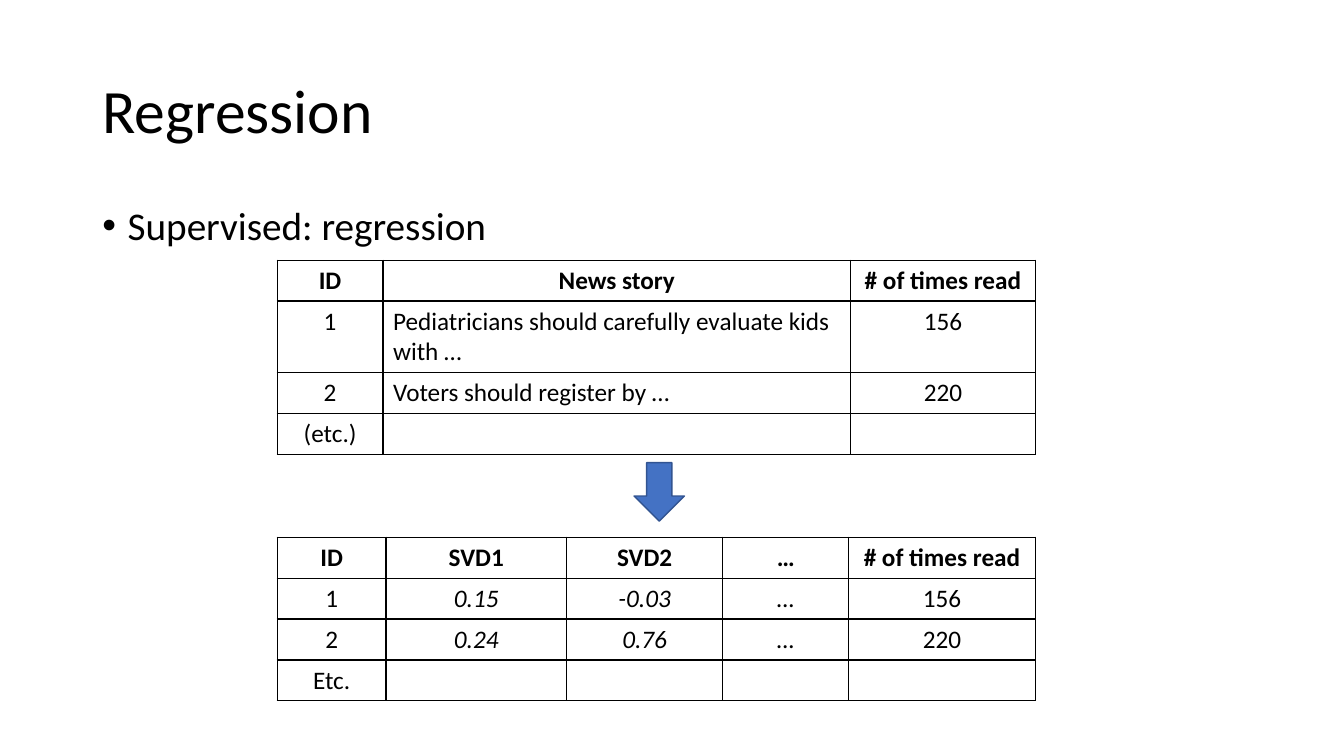
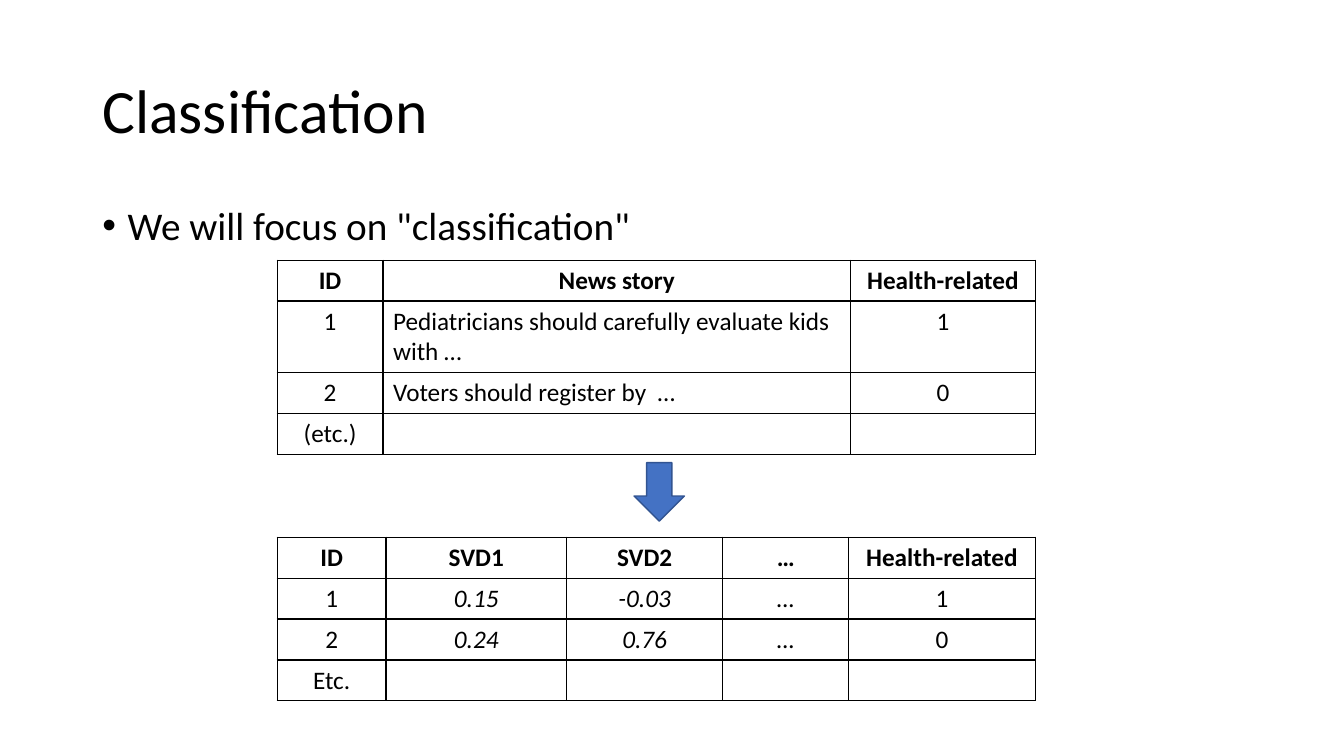
from lxml import etree
from pptx import Presentation
from pptx.dml.color import RGBColor
from pptx.enum.shapes import MSO_SHAPE
from pptx.enum.text import MSO_ANCHOR, MSO_AUTO_SIZE, PP_ALIGN
from pptx.oxml.ns import qn
from pptx.util import Pt

LEFT, CENTER = PP_ALIGN.LEFT, PP_ALIGN.CENTER
TOP, MIDDLE = MSO_ANCHOR.TOP, MSO_ANCHOR.MIDDLE
NO_AUTOFIT = MSO_AUTO_SIZE.NONE
RIGHT_ARROW = MSO_SHAPE.RIGHT_ARROW

BLACK = RGBColor(0x00, 0x00, 0x00)
BLUE = RGBColor(0x44, 0x72, 0xC4)
DARK_BLUE = RGBColor(0x32, 0x54, 0x91)
FONT = "Calibri"

TABLE_LEFT = 198
ROW_HEIGHT = 29.2
STORY_WIDTHS = (75.6, 334.1, 131.8)
FEATURE_WIDTHS = (77.8, 128.9, 111.6, 90, 133.2)

SLIDES = (
    {
        "title": "Regression",
        "bullet": "Supervised: regression",
        "target": "# of times read",
        "values": ("156", "220"),
        "voter_story": "Voters should register by …",
    },
    {
        "title": "Classification",
        "bullet": 'We will focus on "classification"',
        "target": "Health-related",
        "values": ("1", "0"),
        "voter_story": "Voters should register by  …",
    },
)


def write_text(paragraph, text, size=18, bold=False, italic=False, align=LEFT):
    paragraph.alignment = align
    run = paragraph.add_run()
    run.text = text
    font = run.font
    font.name = FONT
    font.size = Pt(size)
    font.bold = bold
    font.italic = italic
    font.color.rgb = BLACK


def fill_placeholder(placeholder, text, top, height, size, anchor):
    placeholder.left, placeholder.top = Pt(66), Pt(top)
    placeholder.width, placeholder.height = Pt(828), Pt(height)
    frame = placeholder.text_frame
    frame.auto_size = NO_AUTOFIT
    frame.vertical_anchor = anchor
    paragraph = frame.paragraphs[0]
    paragraph.line_spacing = 0.9
    write_text(paragraph, text, size=size)
    return paragraph


def add_bullet(paragraph):
    paragraph.space_before = Pt(10)
    properties = paragraph._p.get_or_add_pPr()
    properties.set("marL", str(Pt(18)))
    properties.set("indent", str(Pt(-18)))
    font = etree.SubElement(properties, qn("a:buFont"))
    font.set("typeface", "Arial")
    etree.SubElement(properties, qn("a:buChar")).set("char", "•")


def set_borders(cell):
    properties = cell._tc.get_or_add_tcPr()
    for side in ("a:lnL", "a:lnR", "a:lnT", "a:lnB"):
        line = etree.SubElement(properties, qn(side), w=str(Pt(1)))
        fill = etree.SubElement(line, qn("a:solidFill"))
        etree.SubElement(fill, qn("a:srgbClr"), val=str(BLACK))


def add_grid(slide, rows, widths, top, left_columns=(), italic_columns=()):
    frame = slide.shapes.add_table(
        len(rows), len(widths), Pt(TABLE_LEFT), Pt(top),
        Pt(sum(widths)), Pt(ROW_HEIGHT * len(rows)))
    table = frame.table
    table.first_row = False
    table.horz_banding = False
    for column, width in zip(table.columns, widths):
        column.width = Pt(width)
    for row_index, row in enumerate(rows):
        table.rows[row_index].height = Pt(ROW_HEIGHT)
        for column_index, text in enumerate(row):
            cell = table.cell(row_index, column_index)
            set_borders(cell)
            cell.fill.background()
            if not text:
                continue
            header = row_index == 0
            left = column_index in left_columns and not header
            write_text(
                cell.text_frame.paragraphs[0], text, bold=header,
                italic=column_index in italic_columns and not header,
                align=LEFT if left else CENTER)


def add_down_arrow(slide):
    arrow = slide.shapes.add_shape(
        RIGHT_ARROW, Pt(450), Pt(333.4), Pt(41.8), Pt(36))
    arrow.rotation = 90
    arrow.shadow.inherit = False
    arrow.fill.solid()
    arrow.fill.fore_color.rgb = BLUE
    arrow.line.color.rgb = DARK_BLUE
    arrow.line.width = Pt(1)


def build_slide(presentation, title, bullet, target, values, voter_story):
    slide = presentation.slides.add_slide(presentation.slide_layouts[1])
    fill_placeholder(slide.shapes.title, title, 28.8, 104.4, 44, MIDDLE)
    body = slide.placeholders[1]
    add_bullet(fill_placeholder(body, bullet, 144, 342.7, 28, TOP))

    first, second = values
    stories = (
        ("ID", "News story", target),
        ("1", "Pediatricians should carefully evaluate kids with …", first),
        ("2", voter_story, second),
        ("(etc.)", "", ""),
    )
    features = (
        ("ID", "SVD1", "SVD2", "…", target),
        ("1", "0.15", "-0.03", "…", first),
        ("2", "0.24", "0.76", "…", second),
        ("Etc.", "", "", "", ""),
    )
    add_grid(slide, stories, STORY_WIDTHS, 185.8, left_columns=(1,))
    add_grid(slide, features, FEATURE_WIDTHS, 383.8, italic_columns=(1, 2, 3))
    add_down_arrow(slide)


def main():
    presentation = Presentation()
    presentation.slide_width = Pt(960)
    presentation.slide_height = Pt(540)
    for content in SLIDES:
        build_slide(presentation, **content)
    presentation.save("out.pptx")


main()
